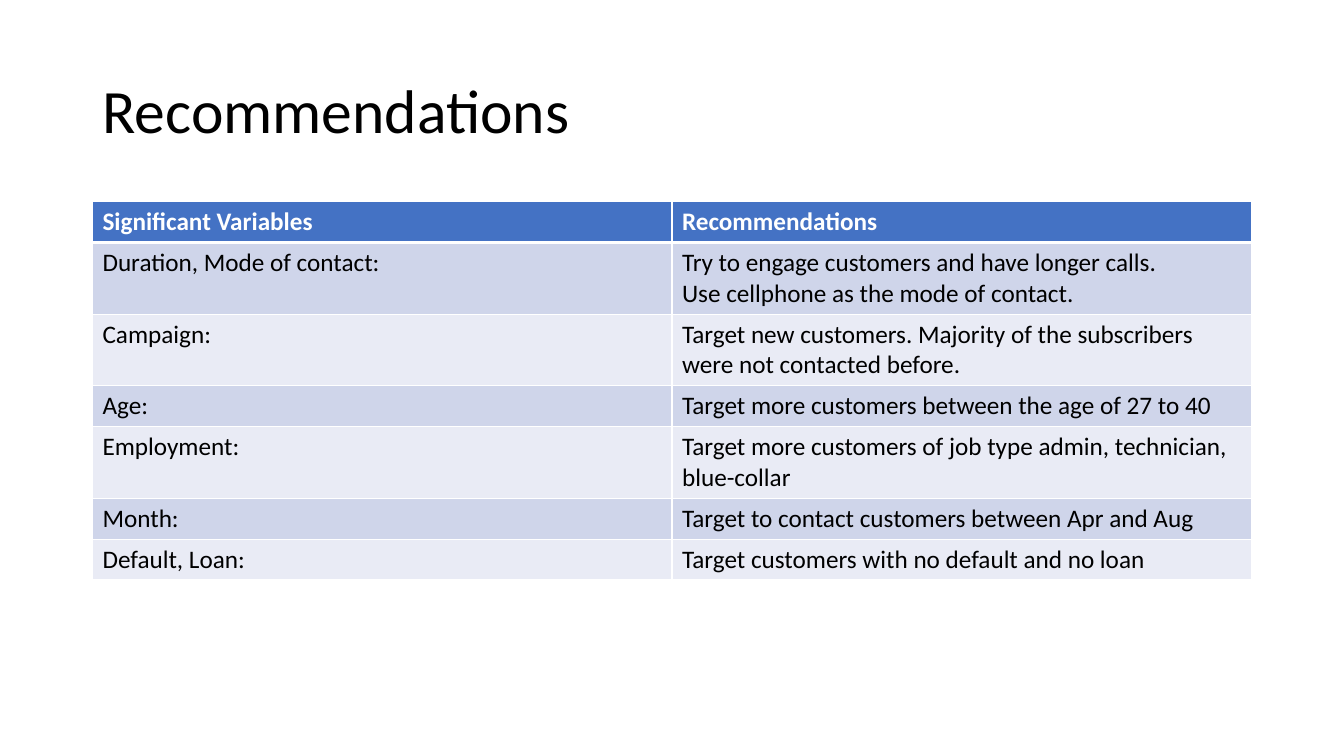
from lxml.etree import SubElement
from pptx import Presentation
from pptx.dml.color import RGBColor
from pptx.enum.text import MSO_ANCHOR as Anchor, PP_ALIGN as Align
from pptx.oxml.ns import qn
from pptx.util import Cm, Pt

TITLE = "Recommendations"
HEADER = ("Significant Variables", "Recommendations")
ADVICE = [
    ("Duration, Mode of contact:",
     "Try to engage customers and have longer calls.\nUse cellphone as the mode of contact."),
    ("Campaign:",
     "Target new customers. Majority of the subscribers were not contacted before."),
    ("Age:", "Target more customers between the age of 27 to 40"),
    ("Employment:", "Target more customers of job type admin, technician, blue-collar"),
    ("Month:", "Target to contact customers between Apr and Aug"),
    ("Default, Loan:", "Target customers with no default and no loan"),
]

FONT = "Calibri"
WHITE, BLACK = "FFFFFF", "000000"
HEADER_FILL = "4472C4"
BAND_FILLS = ("CFD5EA", "E9EBF5")

LEFT, WIDTH = Cm(2.33), Cm(29.21)
TITLE_TOP, TITLE_HEIGHT = Cm(1.01), Cm(3.68)
TABLE_TOP, ROW_HEIGHT = Cm(5.08), Cm(1.03)


def color(value):
    return RGBColor.from_string(value)


def write(frame, text, size=18, ink=BLACK, bold=False, spacing=1.0):
    frame.text = text
    for para in frame.paragraphs:
        para.alignment = Align.LEFT
        para.line_spacing = spacing
        for span in para.runs:
            span.font.name = FONT
            span.font.size = Pt(size)
            span.font.bold = bold
            span.font.color.rgb = color(ink)


def set_borders(cell, bottom):
    """Draw white cell borders, 1 pt except for the bottom one."""
    properties = cell._tc.get_or_add_tcPr()
    for side, points in (("L", 1), ("R", 1), ("T", 1), ("B", bottom)):
        line = SubElement(properties, qn(f"a:ln{side}"), w=str(Pt(points)))
        SubElement(SubElement(line, qn("a:solidFill")), qn("a:srgbClr"), val=WHITE)


def add_advice_table(page):
    rows = [HEADER, *ADVICE]
    table = page.shapes.add_table(len(rows), len(HEADER), LEFT, TABLE_TOP,
                                  WIDTH, ROW_HEIGHT * len(rows)).table
    for index, texts in enumerate(rows):
        is_header = index == 0
        fill = HEADER_FILL if is_header else BAND_FILLS[(index - 1) % 2]
        for cell, text in zip(table.rows[index].cells, texts):
            set_borders(cell, bottom=3 if is_header else 1)
            cell.fill.solid()
            cell.fill.fore_color.rgb = color(fill)
            write(cell.text_frame, text, ink=WHITE if is_header else BLACK, bold=is_header)


def main():
    deck = Presentation()
    deck.slide_width, deck.slide_height = Cm(33.87), Cm(19.05)
    page = deck.slides.add_slide(deck.slide_layouts[5])

    title = page.shapes.title
    title.left, title.top, title.width, title.height = LEFT, TITLE_TOP, WIDTH, TITLE_HEIGHT
    title.text_frame.vertical_anchor = Anchor.MIDDLE
    write(title.text_frame, TITLE, size=44, spacing=0.9)

    add_advice_table(page)
    deck.save("out.pptx")


if __name__ == "__main__":
    main()
